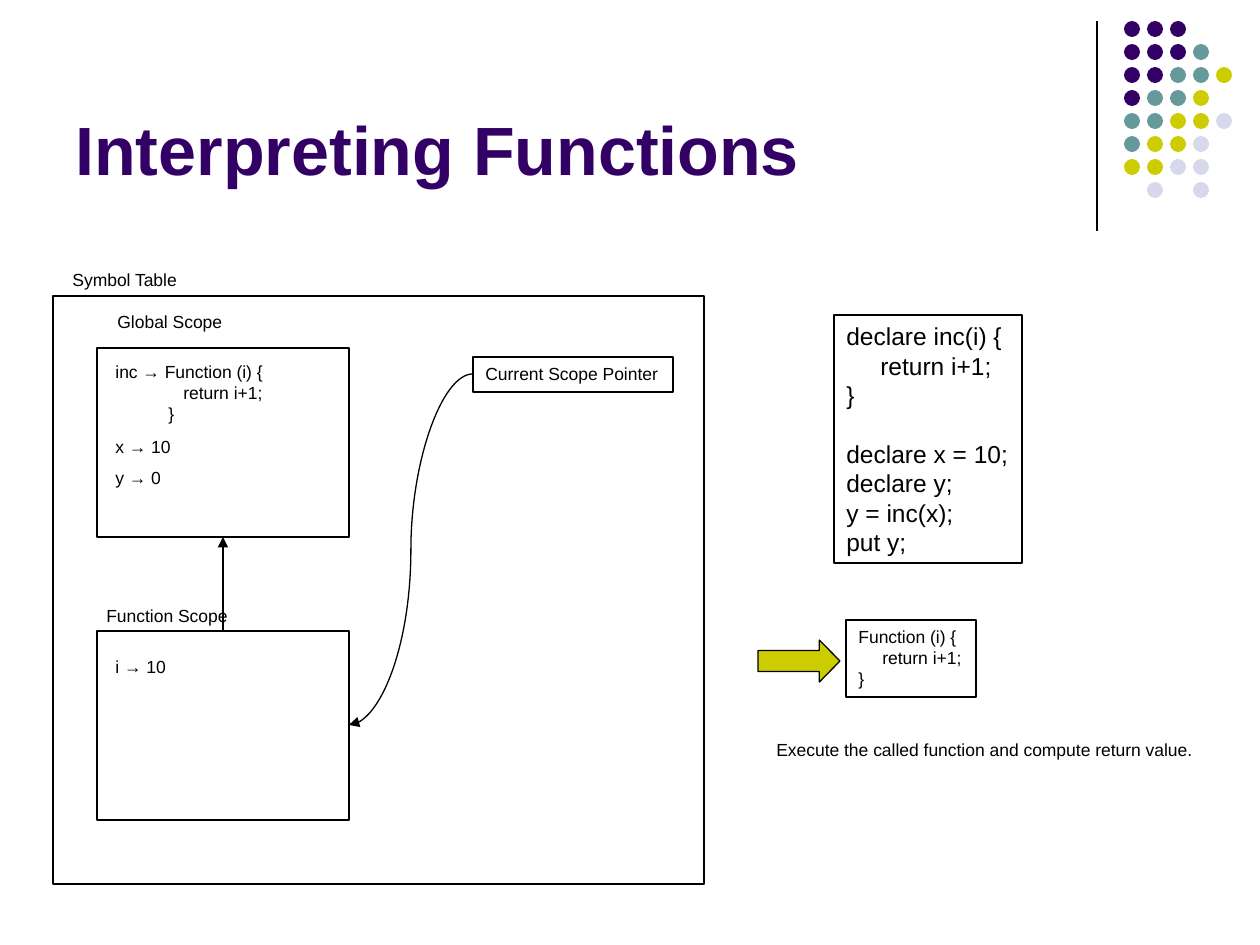
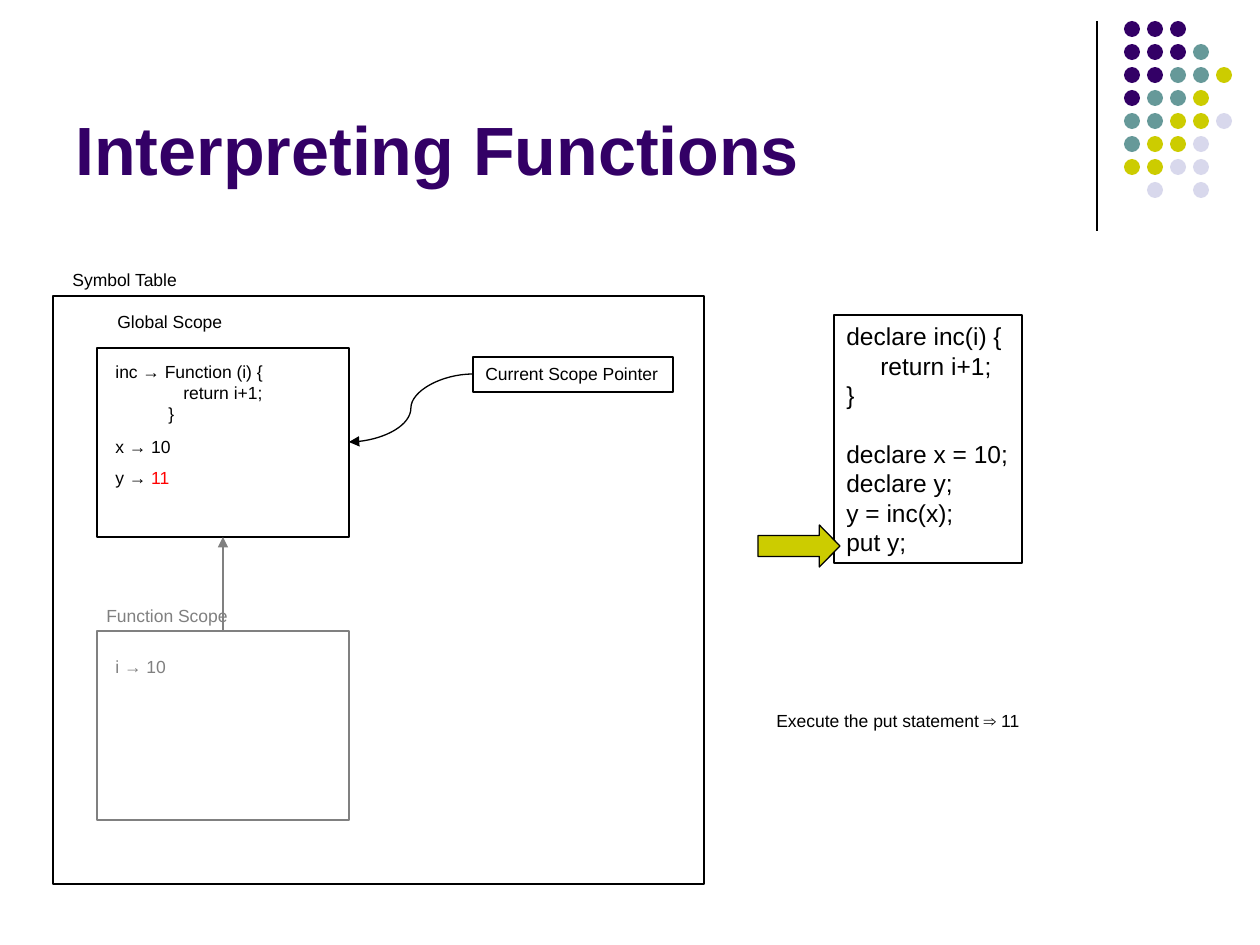
from lxml.etree import SubElement
from pptx import Presentation
from pptx.dml.color import RGBColor
from pptx.enum.shapes import MSO_CONNECTOR as Link, MSO_SHAPE as Preset
from pptx.enum.text import MSO_ANCHOR as Anchor, PP_ALIGN as Align
from pptx.oxml.ns import qn
from pptx.util import Pt

FONT = "Arial"
BLACK, GRAY, RED = "000000", "808080", "FF0000"
PURPLE, TEAL, OLIVE, LILAC = "330066", "669999", "CCCC00", "D8D8EC"
EMU_PER_PX = 914400 / 126
LINE_HEIGHT = 1.2

TITLE = "Interpreting Functions"
DOT_COLORS = {"P": PURPLE, "T": TEAL, "O": OLIVE, "L": LILAC}
DOT_ROWS = ["PPP", "PPPT", "PPTTO", "PTTO", "TTOOL", "TOOL", "OOLL", " L L"]
DOT_ORIGIN, DOT_PITCH, DOT_SIZE = (1124, 21), 23, 16

SYMBOL_TABLE = (53, 296, 651, 588)
GLOBAL_SCOPE = (97, 348, 252, 189)
FUNCTION_SCOPE = (97, 631, 252, 189)
POINTER = (473, 357, 200, 35)
PROGRAM = (834, 315, 188, 248)
CALLED_FUNCTION = (846, 620, 130, 77)

PROGRAM_LINES = [
    {"text": "declare inc(i) {"},
    {"text": "return i+1;", "indent": 34},
    {"text": "}"},
    {"text": "declare x = 10;", "skip": 1},
    {"text": "declare y;"},
    {"text": "y = inc(x);"},
    {"text": "put y;"},
]
INC_LINES = [
    {"text": "inc → Function (i) {"},
    {"text": "return i+1;", "indent": 68},
    {"text": "}", "indent": 53},
]
CALLED_LINES = [
    {"text": "Function (i) {"},
    {"text": "return i+1;", "indent": 24},
    {"text": "}"},
]

STEPS = [
    {
        "scope_color": BLACK,
        "y_value": ("0", BLACK),
        "current_scope": FUNCTION_SCOPE,
        "arrow_top": 640,
        "called_lines": CALLED_LINES,
        "note": "Execute the called function and compute return value.",
        "note_top": 733,
    },
    {
        "scope_color": GRAY,
        "y_value": ("11", RED),
        "current_scope": GLOBAL_SCOPE,
        "arrow_top": 525,
        "called_lines": [],
        "note": "Execute the put statement ⇒ 11",
        "note_top": 704,
    },
]


def px(length):
    return round(length * EMU_PER_PX)


def rgb(color):
    return RGBColor.from_string(color)


def add_preset(page, preset, area, fill=None, line=None):
    shape = page.shapes.add_shape(preset, *map(px, area))
    shape.shadow.inherit = False
    if fill:
        shape.fill.solid()
        shape.fill.fore_color.rgb = rgb(fill)
    else:
        shape.fill.background()
    if line:
        shape.line.color.rgb = rgb(line)
        shape.line.width = Pt(0.75)
    else:
        shape.line.fill.background()
    return shape


def write(box, lines, size=10, color=BLACK, bold=False, anchor=Anchor.TOP):
    frame = box.text_frame
    frame.word_wrap = True
    frame.margin_right = 0
    frame.vertical_anchor = anchor
    for index, line in enumerate(lines):
        para = frame.paragraphs[0] if index == 0 else frame.add_paragraph()
        para.alignment = Align.LEFT
        para.line_spacing = Pt(size * LINE_HEIGHT)
        para.space_before = Pt(size * LINE_HEIGHT * line.get("skip", 0))
        para.font.name, para.font.size, para.font.bold = FONT, Pt(size), bold
        para.font.color.rgb = rgb(color)
        if "indent" in line:
            para._p.get_or_add_pPr().set("marL", str(px(line["indent"])))
        para.add_run().text = line["text"]
        if "value" in line:
            value, value_color = line["value"]
            span = para.add_run()
            span.text = value
            span.font.color.rgb = rgb(value_color)


def add_text(page, area, lines, **style):
    box = page.shapes.add_textbox(*map(px, area))
    write(box, lines, **style)


def add_label(page, left, top, width, text, color=BLACK):
    add_text(page, (left, top, width, 34), [{"text": text}], color=color)


def add_code(page, area, lines, **style):
    write(add_preset(page, Preset.RECTANGLE, area, line=BLACK), lines, **style)


def add_link(page, kind, start, end, color=BLACK, arrow=True):
    link = page.shapes.add_connector(kind, *map(px, start + end))
    link.line.color.rgb = rgb(color)
    link.line.width = Pt(0.75)
    if arrow:
        SubElement(link.line._get_or_add_ln(), qn("a:tailEnd"), type="triangle")
    SubElement(link._element.spPr, qn("a:effectLst"))


def add_frame(page):
    add_link(page, Link.STRAIGHT, (1097, 21), (1097, 231), arrow=False)
    left, top = DOT_ORIGIN
    for row, codes in enumerate(DOT_ROWS):
        for column, code in enumerate(codes):
            if code in DOT_COLORS:
                area = (left + column * DOT_PITCH, top + row * DOT_PITCH, DOT_SIZE, DOT_SIZE)
                add_preset(page, Preset.OVAL, area, fill=DOT_COLORS[code])
    add_text(page, (63, 16, 1040, 179), [{"text": TITLE}],
             size=39, color=PURPLE, bold=True, anchor=Anchor.BOTTOM)


def add_scopes(page, step):
    scope_color = step["scope_color"]
    add_preset(page, Preset.RECTANGLE, SYMBOL_TABLE, line=BLACK)
    add_preset(page, Preset.RECTANGLE, GLOBAL_SCOPE, line=BLACK)
    add_preset(page, Preset.RECTANGLE, FUNCTION_SCOPE, line=scope_color)
    left, top, width, height = GLOBAL_SCOPE
    middle = left + width // 2
    add_link(page, Link.STRAIGHT, (middle, FUNCTION_SCOPE[1]), (middle, top + height), scope_color)

    add_label(page, 60, 263, 132, "Symbol Table")
    add_label(page, 105, 305, 130, "Global Scope")
    add_label(page, 94, 599, 151, "Function Scope", scope_color)
    add_text(page, (103, 355, 173, 76), INC_LINES)
    add_label(page, 103, 430, 81, "x → 10")
    add_text(page, (103, 461, 81, 34), [{"text": "y → ", "value": step["y_value"]}])
    add_label(page, 103, 650, 76, "i → 10", scope_color)

    add_code(page, POINTER, [{"text": "Current Scope Pointer"}])
    left, top, width, height = step["current_scope"]
    start = (POINTER[0], POINTER[1] + POINTER[3] // 2)
    add_link(page, Link.CURVE, start, (left + width, top + height // 2))


def add_program(page, step):
    add_code(page, PROGRAM, PROGRAM_LINES, size=14)
    if step["called_lines"]:
        add_code(page, CALLED_FUNCTION, step["called_lines"])
    arrow = add_preset(page, Preset.RIGHT_ARROW, (758, step["arrow_top"], 82, 42), OLIVE, BLACK)
    arrow.adjustments[0], arrow.adjustments[1] = 0.5, 0.49
    add_label(page, 764, step["note_top"], 442, step["note"])


def main():
    deck = Presentation()
    deck.slide_width, deck.slide_height = px(1260), px(945)
    for step in STEPS:
        page = deck.slides.add_slide(deck.slide_layouts[6])
        add_frame(page)
        add_scopes(page, step)
        add_program(page, step)
    deck.save("out.pptx")


if __name__ == "__main__":
    main()
